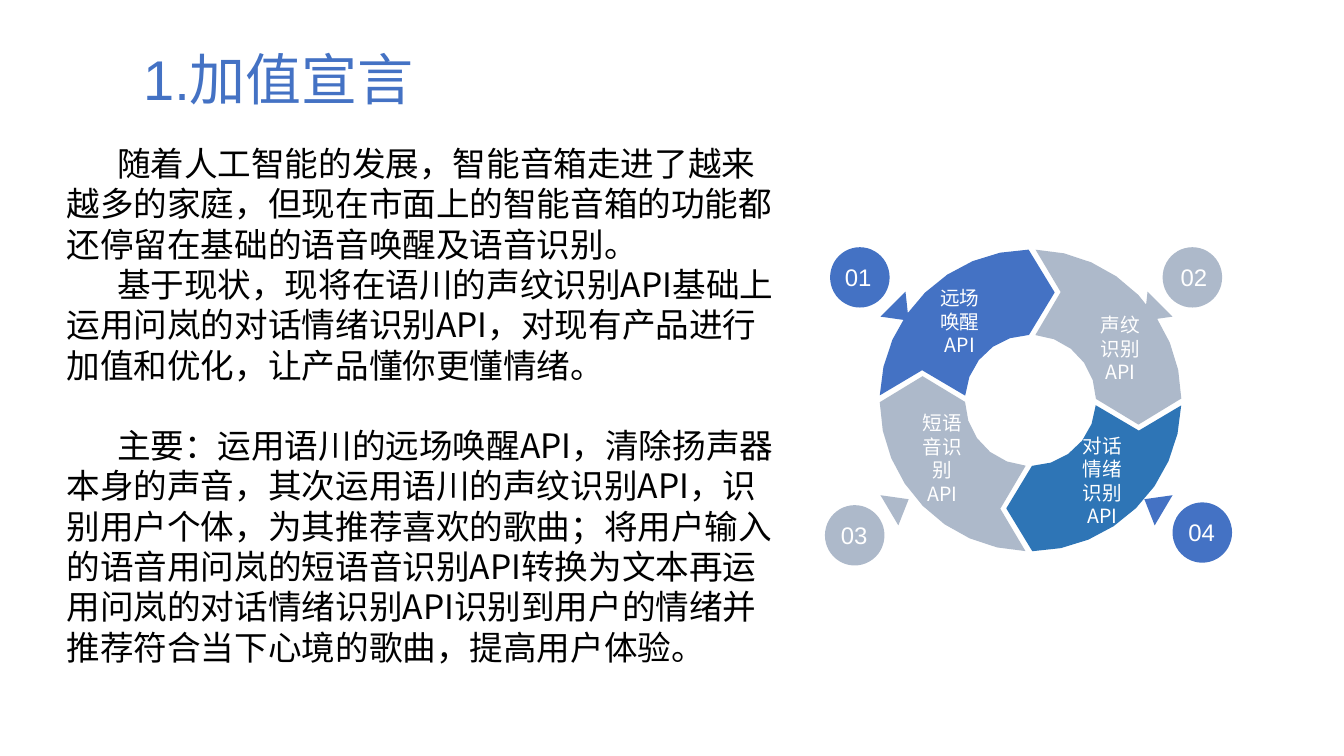
import math
from lxml import etree
from pptx import Presentation
from pptx.dml.color import RGBColor
from pptx.enum.shapes import MSO_SHAPE
from pptx.enum.text import MSO_ANCHOR, PP_ALIGN
from pptx.oxml.ns import qn
from pptx.util import Cm, Pt

BLUE = RGBColor(0x44, 0x72, 0xC4)
DEEP_BLUE = RGBColor(0x2E, 0x75, 0xB6)
GREY = RGBColor(0xAD, 0xB9, 0xCA)
WHITE = RGBColor(0xFF, 0xFF, 0xFF)
BLACK = RGBColor(0x00, 0x00, 0x00)
LATIN_FONT = "Arial"
CHINESE_FONT = "Noto Sans CJK SC"
OVAL = MSO_SHAPE.OVAL
TOP, MIDDLE = MSO_ANCHOR.TOP, MSO_ANCHOR.MIDDLE
LEFT, CENTER = PP_ALIGN.LEFT, PP_ALIGN.CENTER

TITLE = "1.加值宣言"
# Each paragraph with the space before it in points
STATEMENT = [
    ("随着人工智能的发展，智能音箱走进了越来越多的家庭，但现在市面上的智能音箱的功能都"
     "还停留在基础的语音唤醒及语音识别。", 0),
    ("基于现状，现将在语川的声纹识别API基础上运用问岚的对话情绪识别API，对现有产品进行"
     "加值和优化，让产品懂你更懂情绪。", 0),
    ("主要：运用语川的远场唤醒API，清除扬声器本身的声音，其次运用语川的声纹识别API，"
     "识别用户个体，为其推荐喜欢的歌曲；将用户输入的语音用问岚的短语音识别API转换为文本"
     "再运用问岚的对话情绪识别API识别到用户的情绪并推荐符合当下心境的歌曲，提高用户体验。",
     28.8),
]

# Lengths in cm, measured from the diagram's corner
BADGE_SIZE = (1.5, 1.52)
NUMBER_SIZE = (1.47, 1.14)
# Number, badge corner, number corner, colour
BADGES = [("01", (0.13, 0), (0.1, 0.18), BLUE), ("02", (8.51, 0), (8.56, 0.18), GREY),
          ("03", (0, 6.5), (0, 6.68), GREY), ("04", (8.76, 6.43), (8.76, 6.61), BLUE)]
UPPER_POINTER = [(2.03, 1.12), (1.4, 1.75), (2.11, 1.85)]
LOWER_POINTER = [(1.85, 7.01), (1.4, 6.25), (2.11, 6.35)]
POINTER_AXIS = 5.08
RING_CENTER = (5.18, 3.86)
RING_COLOURS = [BLUE, GREY, DEEP_BLUE, GREY]  # clockwise from upper left
LABELS = [("远场唤醒API", 2.69, 1.07, 1.42), ("声纹识别API", 6.83, 1.75, 1.24),
          ("短语音识别API", 2.36, 4.52, 1.19), ("对话情绪识别API", 6.27, 5.08, 1.45)]
LABEL_HEIGHT = 1.6


def add_text(page, left, top, width, height, paragraphs, size, colour,
             font=CHINESE_FONT, align=LEFT, anchor=TOP, indent=0, inset=(0, 0)):
    """Add a text box of (text, space before) paragraphs."""
    box = page.shapes.add_textbox(Cm(left), Cm(top), Cm(width), Cm(height))
    frame = box.text_frame
    frame.word_wrap = True
    frame.vertical_anchor = anchor
    frame.margin_left = frame.margin_right = Cm(inset[0])
    frame.margin_top = frame.margin_bottom = Cm(inset[1])
    for index, (text, space) in enumerate(paragraphs):
        para = frame.add_paragraph() if index else frame.paragraphs[0]
        para.alignment = align
        if space:
            para.space_before = Pt(space)
        if indent:
            para._p.get_or_add_pPr().set("indent", str(Cm(indent)))
        span = para.add_run()
        span.text = text
        span.font.size = Pt(size)
        span.font.name = font
        span.font.color.rgb = colour
        east_asian = etree.SubElement(span._r.get_or_add_rPr(), qn("a:ea"))
        east_asian.set("typeface", CHINESE_FONT)


def paint(shape, colour):
    shape.shadow.inherit = False
    shape.fill.solid()
    shape.fill.fore_color.rgb = colour
    shape.line.fill.background()


def add_outline(page, left, top, points, colour):
    corners = [(Cm(left + x), Cm(top + y)) for x, y in points]
    builder = page.shapes.build_freeform(*corners[0])
    builder.add_line_segments(corners[1:], close=True)
    paint(builder.convert_to_shape(), colour)


def arc(radius, start, end, steps):
    angles = [math.radians(start + (end - start) * i / steps) for i in range(steps + 1)]
    return [(radius * math.cos(a), radius * math.sin(a)) for a in angles]


def add_badges(page, left, top):
    width, height = BADGE_SIZE
    for index, (number, (x, y), (text_x, text_y), colour) in enumerate(BADGES):
        badge = page.shapes.add_shape(OVAL, Cm(left + x), Cm(top + y), Cm(width), Cm(height))
        paint(badge, colour)
        # Right-hand pointers mirror the left-hand ones
        points = UPPER_POINTER if index < 2 else LOWER_POINTER
        if index % 2:
            points = [(2 * POINTER_AXIS - px, py) for px, py in points]
        add_outline(page, left, top, points, colour)
        add_text(page, left + text_x, top + text_y, *NUMBER_SIZE, [(number, 0)],
                 size=17.1, colour=WHITE, font=LATIN_FONT, align=CENTER,
                 anchor=MIDDLE, inset=(0, 0.23))


def add_ring(page, left, top):
    # Upper-left segment around the centre, then a quarter turn for each next one
    segment = ([(0.61, -2.72)] + arc(3.8, 269.3, 181.9, steps=8) + [(-2.73, -0.76)]
               + arc(1.65, 184.2, 268.7, steps=5))
    for colour in RING_COLOURS:
        add_outline(page, left + RING_CENTER[0], top + RING_CENTER[1], segment, colour)
        segment = [(-y, x) for x, y in segment]


def add_diagram(page, left, top):
    add_badges(page, left, top)
    add_ring(page, left, top)
    for text, x, y, width in LABELS:
        add_text(page, left + x, top + y, width, LABEL_HEIGHT, [(text, 0)],
                 size=14, colour=WHITE, align=CENTER, anchor=MIDDLE)


def add_title(page, left, top, width, height):
    add_text(page, left, top, width, height, [(TITLE, 0)], size=40, colour=BLUE,
             font=LATIN_FONT, anchor=MIDDLE)


def add_statement(page, left, top, width, height):
    add_text(page, left, top, width, height, STATEMENT, size=24, colour=BLACK,
             indent=1.27, inset=(0.25, 0.13))


def main():
    deck = Presentation()
    deck.slide_width, deck.slide_height = Cm(33.87), Cm(19.05)
    page = deck.slides.add_slide(deck.slide_layouts[6])
    add_title(page, 3.61, 1.13, 10.39, 1.7)
    add_statement(page, 1.43, 3.47, 18.67, 13.59)
    add_diagram(page, 20.79, 6.23)
    deck.save("out.pptx")


if __name__ == "__main__":
    main()
